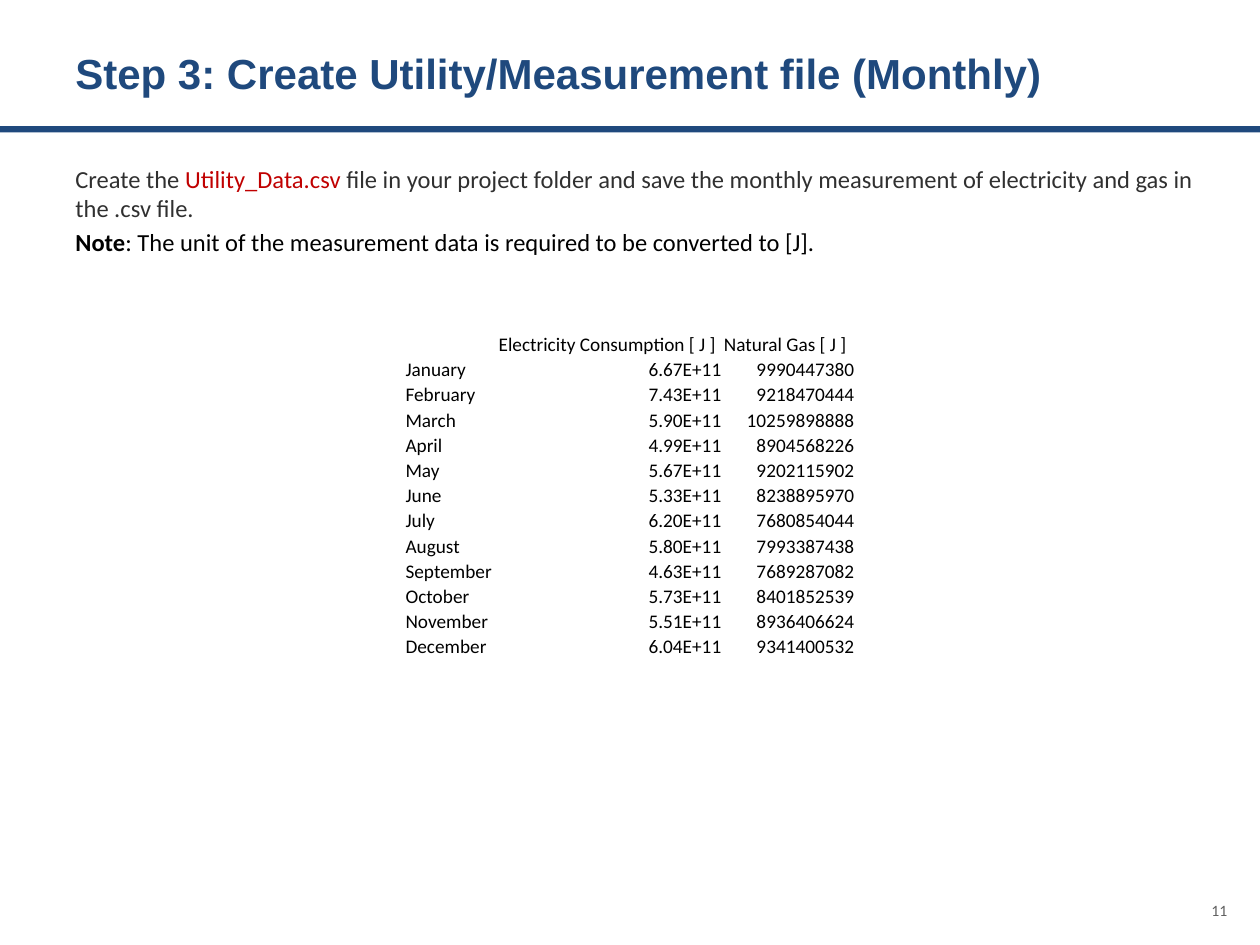
"""Build the slide on the monthly utility measurement file."""
from lxml import etree
from pptx import Presentation
from pptx import util as u
from pptx.dml.color import RGBColor
from pptx.enum import shapes, text
from pptx.oxml.ns import qn

Pt = u.Pt
HUES = {"navy": "1F497D", "red": "C00000", "dark": "303030",
        "gray": "616161", "black": "000000"}
LEFT, RIGHT = text.PP_ALIGN.LEFT, text.PP_ALIGN.RIGHT
HEAD = ("", "Electricity Consumption [ J ]", "Natural Gas [ J ]")
DATA = (
    ("January", "6.67E+11", "9990447380"),
    ("February", "7.43E+11", "9218470444"),
    ("March", "5.90E+11", "10259898888"),
    ("April", "4.99E+11", "8904568226"),
    ("May", "5.67E+11", "9202115902"),
    ("June", "5.33E+11", "8238895970"),
    ("July", "6.20E+11", "7680854044"),
    ("August", "5.80E+11", "7993387438"),
    ("September", "4.63E+11", "7689287082"),
    ("October", "5.73E+11", "8401852539"),
    ("November", "5.51E+11", "8936406624"),
    ("December", "6.04E+11", "9341400532"),
)


def color(hue):
    return RGBColor.from_string(HUES[hue])


def style(para, size, hue=None, face="Calibri", bold=None, align=LEFT):
    font = para.font
    font.size, font.name, font.bold = Pt(size), face, bold
    if hue:
        font.color.rgb = color(hue)
    para.alignment = align


def add_bar(slide, box, hue):
    bar = slide.shapes.add_shape(shapes.MSO_SHAPE.RECTANGLE, *map(Pt, box))
    bar.shadow.inherit = False
    bar.fill.solid()
    bar.fill.fore_color.rgb = color(hue)
    bar.line.fill.background()


def add_box(slide, box):
    frame = slide.shapes.add_textbox(*map(Pt, box)).text_frame
    frame.word_wrap = True
    return frame


def add_label(slide, box, words, *look, **more):
    frame = add_box(slide, box)
    frame.paragraphs[0].text = words
    style(frame.paragraphs[0], *look, **more)
    return frame


def add_body(slide, box, paras):
    frame = add_box(slide, box)
    for i, runs in enumerate(paras):
        para = frame.add_paragraph() if i else frame.paragraphs[0]
        style(para, 14)
        para.space_before = Pt(2.8)
        for words, hue, bold in runs:
            run = para.add_run()
            run.text = words
            run.font.color.rgb = color(hue)
            run.font.bold = bold


def fill_cell(cell, words, align):
    cell.fill.background()
    cell.vertical_anchor = text.MSO_ANCHOR.BOTTOM
    cell.margin_left = cell.margin_right = cell.margin_top = Pt(0.75)
    cell.margin_bottom = Pt(0)
    para = cell.text_frame.paragraphs[0]
    style(para, 11, "black", align=align)
    if words:
        para.text = words
    else:
        etree.SubElement(para._p, qn("a:endParaRPr"), sz="1100")


def add_grid(slide, left, top, widths, high, rows):
    grid = slide.shapes.add_table(
        len(rows), len(widths), Pt(left), Pt(top),
        Pt(sum(widths)), Pt(high * len(rows))).table
    grid.first_row = grid.horz_banding = False
    for col, width in zip(grid.columns, widths):
        col.width = Pt(width)
    for r, row in enumerate(rows):
        grid.rows[r].height = Pt(high)
        for c, words in enumerate(row):
            fill_cell(grid.cell(r, c), words, RIGHT if r and c else LEFT)


def main():
    deck = Presentation()
    deck.slide_width, deck.slide_height = Pt(720), Pt(540)
    slide = deck.slides.add_slide(deck.slide_layouts[6])
    add_bar(slide, (0, 72, 720, 3.6), "navy")
    title = add_label(slide, (36, 21.6, 648, 44.6),
                      "Step 3: Create Utility/Measurement file (Monthly)",
                      24, "navy", face="Arial", bold=True)
    title.vertical_anchor = text.MSO_ANCHOR.MIDDLE
    title.margin_bottom = Pt(8)
    add_label(slide, (678.2, 511.2, 30.2, 28.8), "11", 9, "gray", align=RIGHT)
    add_body(slide, (36, 90, 672, 72.7), (
        (("Create the ", "dark", False),
         ("Utility_Data.csv", "red", False),
         (" file in your project folder and save the monthly measurement "
          "of electricity and gas in the .csv file. ", "dark", False)),
        (("Note", "black", True),
         (": The unit of the measurement data is required to be "
          "converted to [J].", "black", False)),
    ))
    add_grid(slide, 231, 189.4, (53.2, 128.8, 76), 14.4, (HEAD, *DATA))
    deck.save("out.pptx")


main()
